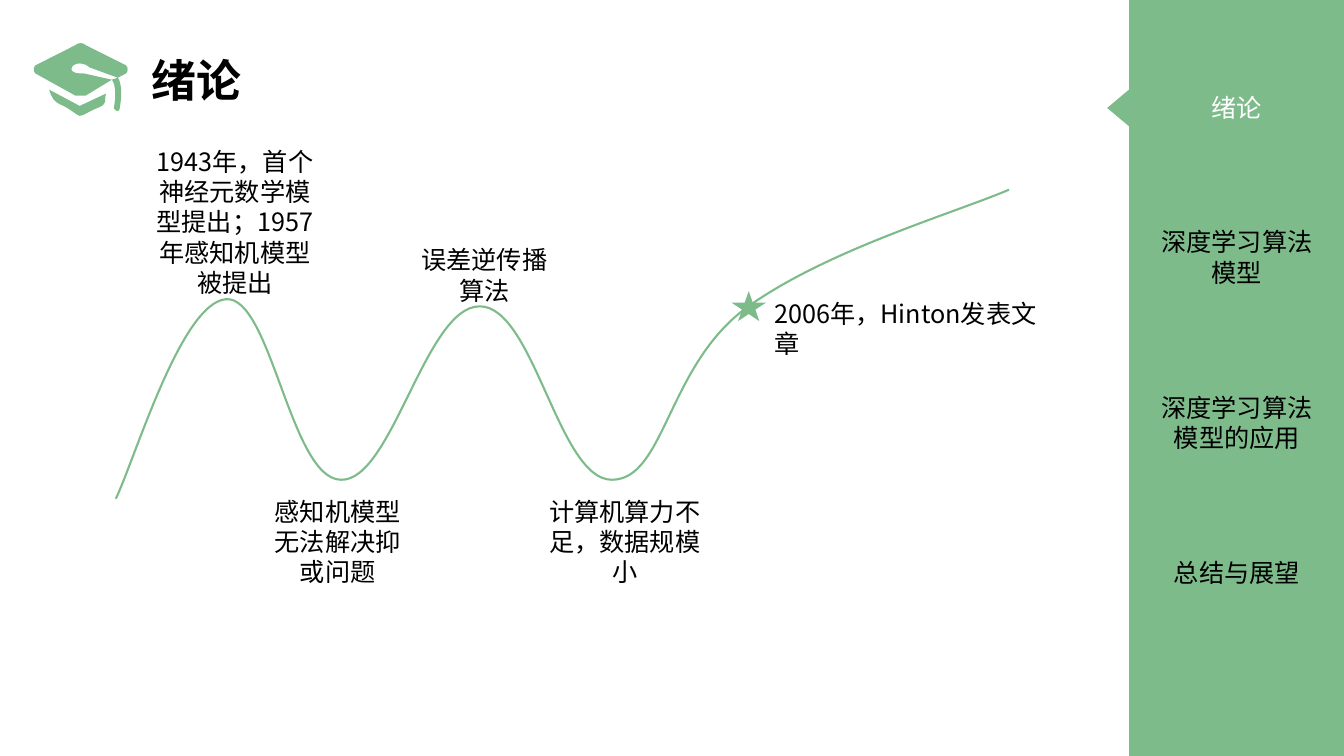
"""Build the introduction slide: a wave of milestones beside a chapter sidebar."""
from lxml.etree import SubElement
from pptx import Presentation
from pptx.dml.color import RGBColor
from pptx.enum.shapes import MSO_SHAPE
from pptx.enum.text import MSO_ANCHOR, MSO_AUTO_SIZE, PP_ALIGN
from pptx.oxml.ns import qn
from pptx.util import Cm, Pt

HUES = {"green": "7EBB8B", "black": "000000", "white": "FFFFFF"}
HAN = "Noto Sans CJK SC"
FRAME = {"auto_size": MSO_AUTO_SIZE.SHAPE_TO_FIT_TEXT, "vertical_anchor": MSO_ANCHOR.TOP}
NOTE = {"name": HAN, "size": Pt(18), "bold": False}
ITEM = {**NOTE, "name": "Calibri"}
HEAD = {**ITEM, "size": Pt(32), "bold": True}


def write(box, text, font, align=PP_ALIGN.CENTER, hue="black", wrap=True):
    """Fill a box with formatted text."""
    frame = box.text_frame
    frame.text = text
    for key, value in {**FRAME, "word_wrap": wrap}.items():
        setattr(frame, key, value)
    for para in frame.paragraphs:
        para.alignment = align
        for run in para.runs:
            for key, value in font.items():
                setattr(run.font, key, value)
            run.font.color.rgb = RGBColor.from_string(HUES[hue])
            SubElement(run.font._element, qn("a:ea")).set("typeface", HAN)


def draw(loops, close):
    """Draw loops of Bezier parts as one shape; a part of 2 values is straight."""
    pen = None
    for start, *parts in loops:
        x, y = Cm(start[0]), Cm(start[1])
        if pen:
            pen.move_to(x, y)
        else:
            pen = shapes.build_freeform(x, y)
        for part in parts:
            part = part if len(part) == 6 else part * 3
            pen.add_line_segments(
                [(Cm(a), Cm(b)) for a, b in zip(part[::2], part[1::2])],
                close=close and part[-2:] == parts[-1][-2:])
    shape = pen.convert_to_shape()
    shape.shadow.inherit = False
    lines = list(shape._element.iter(qn("a:lnTo")))
    for first, *others in zip(lines[::3], lines[1::3], lines[2::3]):
        first.tag = qn("a:cubicBezTo")
        for other in others:
            first.append(other[0])
            other.getparent().remove(other)
    return shape


deck = Presentation()
deck.slide_width, deck.slide_height = Cm(33.87), Cm(19.05)
slide = deck.slides.add_slide(deck.slide_layouts[5])
shapes = slide.shapes
green = RGBColor.from_string(HUES["green"])

title = shapes.title
title.left, title.top, title.width, title.height = Cm(3.56), Cm(1.19), Cm(2.77), Cm(1.63)
write(title, "绪论", HEAD, PP_ALIGN.LEFT, wrap=False)

bowl = [
    (1.24, 2.26),
    (1.3, 2.46, 1.35, 2.57, 1.6, 2.67), (1.8, 2.77, 1.96, 2.92, 2.01, 2.92),
    (2.11, 2.92, 2.21, 2.82, 2.46, 2.72), (2.72, 2.62, 2.62, 2.57, 2.67, 2.36),
    (2.01, 2.67)]
board = [
    (3.18, 1.65),
    (2.16, 1.14), (2.11, 1.07, 1.96, 1.07, 1.9, 1.14),
    (0.89, 1.65), (0.84, 1.7, 0.84, 1.8, 0.89, 1.85),
    (1.9, 2.41), (1.96, 2.41, 2.11, 2.41, 2.16, 2.41),
    (2.82, 2.01), (2.11, 1.85), (2.11, 1.85, 2.06, 1.85, 2.01, 1.85),
    (1.9, 1.85, 1.8, 1.8, 1.8, 1.75), (1.8, 1.65, 1.9, 1.6, 2.01, 1.6),
    (2.11, 1.6, 2.21, 1.65, 2.26, 1.7),
    (2.97, 1.96), (3.18, 1.85), (3.23, 1.8, 3.23, 1.7, 3.18, 1.65)]
tassel = [
    (2.87, 2.72),
    (2.87, 2.77, 3.02, 2.87, 3.02, 2.72), (3.12, 2.11, 2.97, 1.96, 2.97, 1.96),
    (2.82, 2.01), (2.82, 2.01, 2.97, 2.16, 2.87, 2.72)]
cap = draw([bowl, board, tassel], True)
cap.fill.solid()
cap.fill.fore_color.rgb = green
cap.line.fill.background()

side = shapes.add_group_shape().shapes
wave = draw([[
    (2.92, 12.57),
    (3.43, 11.48, 4.57, 7.65, 5.69, 7.54), (6.83, 7.44, 7.32, 12.07, 8.59, 12.09),
    (9.88, 12.14, 10.72, 7.72, 12.09, 7.72), (13.46, 7.72, 14.07, 12.09, 15.42, 12.09),
    (16.76, 12.09, 16.81, 9.22, 18.82, 7.75), (20.83, 6.3, 24.08, 5.36, 25.43, 4.78)]], False)
wave.fill.background()
wave.line.color.rgb = green
wave.line.width = Pt(1.5)

for home, kind, left, top, width, height, turn in (
        (side, MSO_SHAPE.RECTANGLE, 28.48, 0, 5.39, 19.05, 0),
        (side, MSO_SHAPE.ISOSCELES_TRIANGLE, 27.74, 2.44, 0.94, 0.56, 270),
        (shapes, MSO_SHAPE.STAR_5_POINT, 18.49, 7.39, 0.76, 0.66, 0)):
    shape = home.add_shape(kind, Cm(left), Cm(top), Cm(width), Cm(height))
    shape.shadow.inherit = False
    shape.rotation = turn
    shape.fill.solid()
    shape.fill.fore_color.rgb = green
    shape.line.color.rgb = green
    shape.line.width = Pt(1)
    edge = shape._element.spPr.find(qn("a:ln"))
    SubElement(edge, qn("a:miter")).set("lim", "800000")

middle = 31.17
for text, top, width, height, hue in (
        ("绪论", 2.21, 1.78, 1.02, "white"),
        ("深度学习算法\n模型", 5.59, 4.32, 1.8, "black"),
        ("深度学习算法\n模型的应用", 9.75, 4.32, 1.8, "black"),
        ("总结与展望", 13.92, 3.68, 1.02, "black")):
    box = side.add_textbox(Cm(middle - width / 2), Cm(top), Cm(width), Cm(height))
    write(box, text, ITEM, hue=hue, wrap=False)

for text, left, top, width, height, align in (
        ("1943年，首个神经元数学模型提出；1957年感知机模型被提出",
         3.56, 3.56, 4.72, 4.09, PP_ALIGN.CENTER),
        ("感知机模型无法解决抑或问题", 6.59, 12.37, 3.84, 2.57, PP_ALIGN.CENTER),
        ("误差逆传播算法", 10.25, 6.04, 3.91, 1.8, PP_ALIGN.CENTER),
        ("计算机算力不足，数据规模小", 13.37, 12.37, 4.75, 2.57, PP_ALIGN.CENTER),
        ("2006年，Hinton发表文章", 19.26, 7.39, 7.49, 1.02, PP_ALIGN.LEFT)):
    box = shapes.add_textbox(Cm(left), Cm(top), Cm(width), Cm(height))
    write(box, text, NOTE, align)

deck.save("out.pptx")
